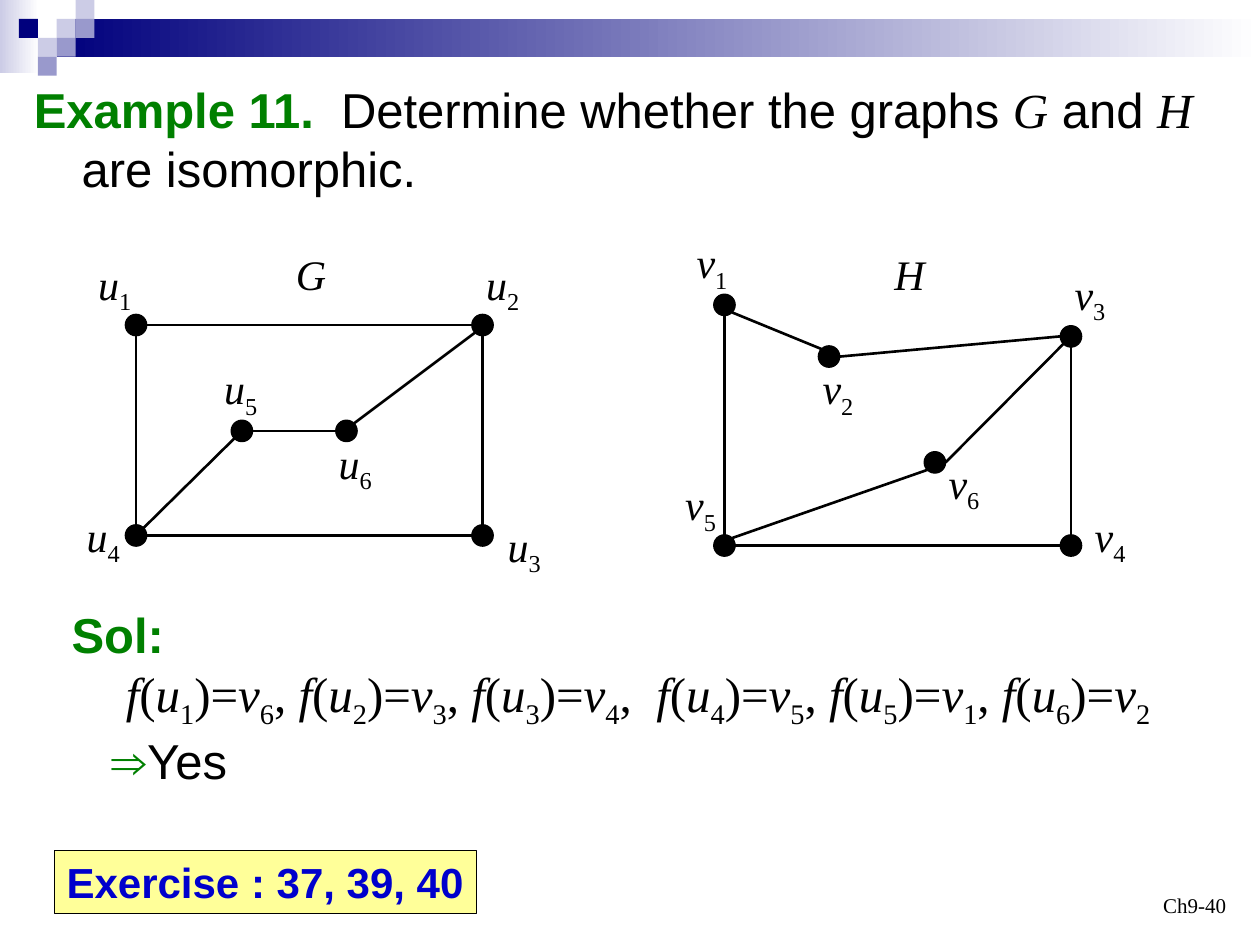
import pptx
import pptx.util
import pptx.dml.color
import pptx.enum.shapes
import pptx.enum.text
from lxml import etree

Inches = pptx.util.Inches
RGBColor = pptx.dml.color.RGBColor
SHAPES = pptx.enum.shapes.MSO_SHAPE
ALIGN = pptx.enum.text.PP_ALIGN
ANCHOR = pptx.enum.text.MSO_ANCHOR

BLACK = RGBColor(0, 0, 0)
WHITE = RGBColor(255, 255, 255)
GREEN = RGBColor(0, 0x80, 0)
BLUE = RGBColor(0, 0, 0xCC)
YELLOW = RGBColor(0xFF, 0xFF, 0x99)
NAVY = RGBColor(0, 0, 0x7D)
LILAC = RGBColor(0xCC, 0xCC, 0xE6)
PERIWINKLE = RGBColor(0x99, 0x99, 0xCC)
SANS, SERIF = "Arial", "Times New Roman"

BANDS = [((0, 0, 0.31, 0.58), LILAC), ((0.45, 0.15, 9.55, 0.3), NAVY)]
TILE = 0.15
TILES = [(3, 1, LILAC), (4, 0, LILAC), (4, 1, PERIWINKLE), (2, 2, LILAC),
         (1, 1, NAVY), (3, 2, PERIWINKLE), (2, 3, PERIWINKLE)]

NODE = 0.17
VERTICES = {
    "u1": ((1.08, 2.58), (0.68, 2)),
    "u2": ((3.83, 2.58), (3.76, 2)),
    "u3": ((3.83, 4.25), (3.93, 4.08)),
    "u4": ((1.08, 4.25), (0.59, 4)),
    "u5": ((1.92, 3.42), (1.68, 2.83)),
    "u6": ((2.75, 3.42), (2.59, 3.42)),
    "v1": ((5.75, 2.42), (5.43, 1.83)),
    "v2": ((6.58, 2.83), (6.43, 2.83)),
    "v3": ((8.5, 2.67), (8.43, 2.08)),
    "v4": ((8.5, 4.33), (8.59, 4)),
    "v5": ((5.75, 4.33), (5.34, 3.75)),
    "v6": ((7.42, 3.67), (7.43, 3.58)),
}
SIDES = {"N": (0, -1), "S": (0, 1), "W": (-1, 0), "E": (1, 0),
         "NE": (0.7, -0.7), "NW": (-0.7, -0.7), "SE": (0.7, 0.7), "SW": (-0.7, 0.7)}
EDGES = [
    ("u1", "S", "u4", "N"), ("u1", "E", "u2", "W"), ("u2", "S", "u3", "N"),
    ("u4", "E", "u3", "W"), ("u5", "SW", "u4", "NE"), ("u6", "W", "u5", "E"),
    ("u6", "NE", "u2", "SW"), ("v3", "S", "v4", "N"), ("v5", "E", "v4", "W"),
    ("v6", "SW", "v5", "NE"), ("v6", "E", "v3", "SW"), ("v1", "S", "v5", "N"),
    ("v1", "SE", "v2", "NW"), ("v2", "E", "v3", "W"),
]
GRAPH_NAMES = [("G", 2.25), ("H", 7)]
MAPPING = [("1", "6", ", "), ("2", "3", ", "), ("3", "4", ",  "),
           ("4", "5", ", "), ("5", "1", ", "), ("6", "2", "")]

presentation = pptx.Presentation()
presentation.slide_width, presentation.slide_height = Inches(10), Inches(7.5)
slide = presentation.slides.add_slide(presentation.slide_layouts[6])


def add_shape(kind, box, fill, line=None):
    shape = slide.shapes.add_shape(kind, *map(Inches, box))
    shape.shadow.inherit = False
    shape.fill.solid()
    shape.fill.fore_color.rgb = fill
    if line is None:
        shape.line.fill.background()
    else:
        shape.line.color.rgb = line
        shape.line.width = pptx.util.Pt(0.75)
    return shape


def add_run(paragraph, text, size, font=SERIF, color=BLACK, bold=False, italic=False, subscript=False):
    run = paragraph.add_run()
    run.text = text
    run.font.size = pptx.util.Pt(size)
    run.font.name = font
    run.font.color.rgb = color
    run.font.bold = bold
    run.font.italic = italic
    if subscript:
        run.font._element.set("baseline", "-25000")


def add_text(box):
    frame = slide.shapes.add_textbox(*map(Inches, box)).text_frame
    frame.word_wrap = True
    return frame


def set_indent(paragraph, left, first=0):
    properties = paragraph._p.get_or_add_pPr()
    properties.set("marL", str(Inches(left)))
    properties.set("indent", str(Inches(first)))


def add_variable(paragraph, letter, index, size):
    add_run(paragraph, letter, size, italic=True)
    add_run(paragraph, index, size, subscript=True)


for box, color in BANDS:
    band = add_shape(SHAPES.RECTANGLE, box, color)
    band.fill.gradient()
    band.fill.gradient_angle = 0
    for stop, stop_color, position in zip(band.fill.gradient_stops, (color, WHITE), (0, 1)):
        stop.color.rgb = stop_color
        stop.position = position
for column, row, color in TILES:
    add_shape(SHAPES.RECTANGLE, (column * TILE, row * TILE, TILE, TILE), color)

question = add_text((0.17, 0.58, 9.67, 1.17)).paragraphs[0]
set_indent(question, 0.38, -0.38)
add_run(question, "Example 11.", 28, SANS, GREEN, bold=True)
add_run(question, "  Determine whether the graphs ", 28, SANS)
add_run(question, "G", 28, italic=True)
add_run(question, " and ", 28, SANS)
add_run(question, "H", 28, italic=True)
add_run(question, " are isomorphic.", 28, SANS)


def site(vertex, side):
    return [Inches(center + offset * NODE / 2)
            for center, offset in zip(VERTICES[vertex][0], SIDES[side])]


for start, start_side, end, end_side in EDGES:
    edge = slide.shapes.add_connector(pptx.enum.shapes.MSO_CONNECTOR.STRAIGHT,
                                      *site(start, start_side), *site(end, end_side))
    edge.line.color.rgb = BLACK
    edge.line.width = pptx.util.Pt(1.5)
    etree.SubElement(edge._element.spPr, pptx.oxml.ns.qn("a:effectLst"))

for name, ((x, y), (left, top)) in VERTICES.items():
    add_shape(SHAPES.OVAL, (x - NODE / 2, y - NODE / 2, NODE, NODE), BLACK, BLACK)
    label = add_text((left, top, 0.5, 0.56)).paragraphs[0]
    add_variable(label, name[0], name[1], 24)

for name, left in GRAPH_NAMES:
    add_run(add_text((left, 1.92, 0.5, 0.5)).paragraphs[0], name, 24, italic=True)

solution = add_text((0.47, 4.75, 9, 1.57))
heading = solution.paragraphs[0]
mapping = solution.add_paragraph()
answer = solution.add_paragraph()
for paragraph, left in ((heading, 0), (mapping, 0.43), (answer, 0.32)):
    set_indent(paragraph, left)
add_run(heading, "Sol:", 28, SANS, GREEN, bold=True)
for source, target, separator in MAPPING:
    add_run(mapping, "f", 28, italic=True)
    add_run(mapping, "(", 28)
    add_variable(mapping, "u", source, 28)
    add_run(mapping, ")=", 28)
    add_variable(mapping, "v", target, 28)
    if separator:
        add_run(mapping, separator, 28)
add_run(answer, "⇒", 28, SANS, GREEN, bold=True)
add_run(answer, "Yes", 28, SANS)

exercise = add_shape(SHAPES.RECTANGLE, (0.43, 6.75, 3.35, 0.5), YELLOW, BLACK).text_frame
exercise.word_wrap = False
exercise.paragraphs[0].alignment = ALIGN.LEFT
add_run(exercise.paragraphs[0], "Exercise : 37, 39, 40", 24, SANS, BLUE, bold=True)

page = add_text((7.5, 6.83, 2.33, 0.5))
page.vertical_anchor = ANCHOR.BOTTOM
page.paragraphs[0].alignment = ALIGN.RIGHT
add_run(page.paragraphs[0], "Ch9-40", 12)

presentation.save("out.pptx")
